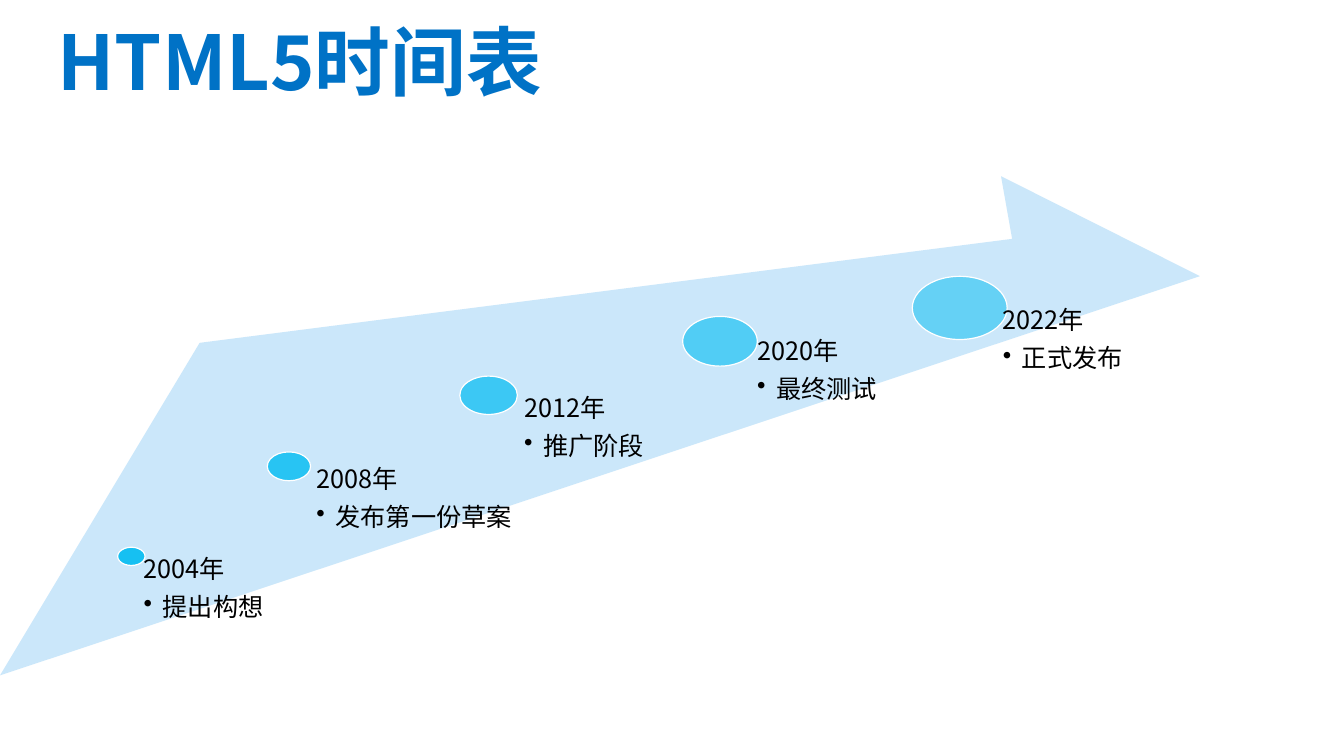
from dataclasses import dataclass

import pptx
import pptx.dml.color
import pptx.enum.shapes
import pptx.enum.text
import pptx.oxml
import pptx.oxml.ns
import pptx.util
from pptx.util import Cm, Pt


@dataclass(frozen=True)
class Theme:
    font: str = "Noto Sans CJK SC"
    title_color: str = "0072C6"
    arrow_color: str = "CBE7FA"
    dot_color: str = "00BCF2"
    outline_color: str = "FFFFFF"
    text_color: str = "000000"
    title_size: float = 54
    label_size: float = 18


THEME = Theme()
rgb = pptx.dml.color.RGBColor.from_string


def style_text(paragraph, size, color, bold=False):
    paragraph.line_spacing = 0.9
    paragraph.alignment = pptx.enum.text.PP_ALIGN.LEFT
    font = paragraph.runs[0].font
    font.name, font.size, font.bold = THEME.font, Pt(size), bold
    font.color.rgb = rgb(color)
    east_asian = pptx.oxml.parse_xml(
        f'<a:ea {pptx.oxml.ns.nsdecls("a")} typeface="{THEME.font}"/>')
    paragraph.runs[0]._r.rPr.find(pptx.oxml.ns.qn("a:latin")).addnext(east_asian)


def set_frame(frame, left_inset=0):
    """Wrap the text from the top of its box, with only a left margin."""
    frame.word_wrap = True
    frame.vertical_anchor = pptx.enum.text.MSO_ANCHOR.TOP
    frame.margin_left = left_inset
    frame.margin_top = frame.margin_right = frame.margin_bottom = 0


presentation = pptx.Presentation()
presentation.slide_width, presentation.slide_height = Cm(33.86), Cm(19.05)
slide = presentation.slides.add_slide(presentation.slide_layouts[5])

# Title
title = slide.shapes.title
title.left, title.top, title.width, title.height = Cm(1.45), Cm(0.64), Cm(30.96), Cm(2.08)
set_frame(title.text_frame)
title.text_frame.auto_size = pptx.enum.text.MSO_AUTO_SIZE.SHAPE_TO_FIT_TEXT
title.text_frame.text = "HTML5时间表"
style_text(title.text_frame.paragraphs[0], THEME.title_size, THEME.title_color, bold=True)

# Rising arrow
ARROW_BOTTOM = 17.02
arrow_tail, *arrow_corners = [
    (Cm(x), Cm(y))
    for x, y in [(0, ARROW_BOTTOM), (5.03, 8.64), (25.5, 6.02), (25.22, 4.44), (30.23, 6.96)]
]
outline = slide.shapes.build_freeform(*arrow_tail)
outline.add_line_segments(arrow_corners, close=True)
arrow = outline.convert_to_shape()
arrow.shadow.inherit = False
arrow.fill.solid()
arrow.fill.fore_color.rgb = rgb(THEME.arrow_color)
arrow.line.fill.background()

# Milestones: year, event, dot centre x and y, dot width, dot opacity in percent,
# label left, top and width (lengths in centimetres)
milestones = [
    ("2004年", "提出构想", 3.31, 14.02, 0.69, 89, 3.38, 14.02, 6.99),
    ("2008年", "发布第一份草案", 7.28, 11.75, 1.09, 80, 7.59, 11.75, 8.23),
    ("2012年", "推广阶段", 12.31, 9.96, 1.45, 70, 12.7, 9.96, 7.01),
    ("2020年", "最终测试", 18.14, 8.6, 1.88, 60, 18.42, 8.53, 6.05),
    ("2022年", "正式发布", 24.18, 7.76, 2.39, 50, 24.43, 7.76, 6.05),
]
for year, event, x, y, dot_width, opacity, label_left, label_top, label_width in milestones:
    dot_height = dot_width * 2 / 3
    dot = slide.shapes.add_shape(
        pptx.enum.shapes.MSO_SHAPE.OVAL,
        Cm(x - dot_width / 2), Cm(y - dot_height / 2), Cm(dot_width), Cm(dot_height))
    dot.shadow.inherit = False
    dot.fill.solid()
    dot.fill.fore_color.rgb = rgb(THEME.dot_color)
    dot_color = dot._element.spPr.find(".//" + pptx.oxml.ns.qn("a:srgbClr"))
    dot_color.append(pptx.oxml.parse_xml(
        f'<a:alpha {pptx.oxml.ns.nsdecls("a")} val="{opacity * 1000}"/>'))
    dot.line.color.rgb = rgb(THEME.outline_color)
    dot.line.width = Pt(0.85)

    label = slide.shapes.add_textbox(
        Cm(label_left), Cm(label_top), Cm(label_width), Cm(ARROW_BOTTOM - label_top))
    set_frame(label.text_frame, left_inset=Cm(dot_width * 0.35))
    label.text_frame.text = f"{year}\n{event}"
    year_line, event_line = label.text_frame.paragraphs
    for line, space_after in [(year_line, 7.9), (event_line, 3.4)]:
        style_text(line, THEME.label_size, THEME.text_color)
        line.space_after = Pt(space_after)

    event_line.level = 1
    bullet = event_line._p.get_or_add_pPr()
    bullet.set("marL", str(Cm(0.48)))
    bullet.set("indent", str(-Cm(0.48)))
    for part in (f'buClr {pptx.oxml.ns.nsdecls("a")}><a:srgbClr val="{THEME.text_color}"/></a:buClr',
                 f'buChar {pptx.oxml.ns.nsdecls("a")} char="•"/'):
        bullet.append(pptx.oxml.parse_xml(f"<a:{part}>"))

presentation.save("out.pptx")
